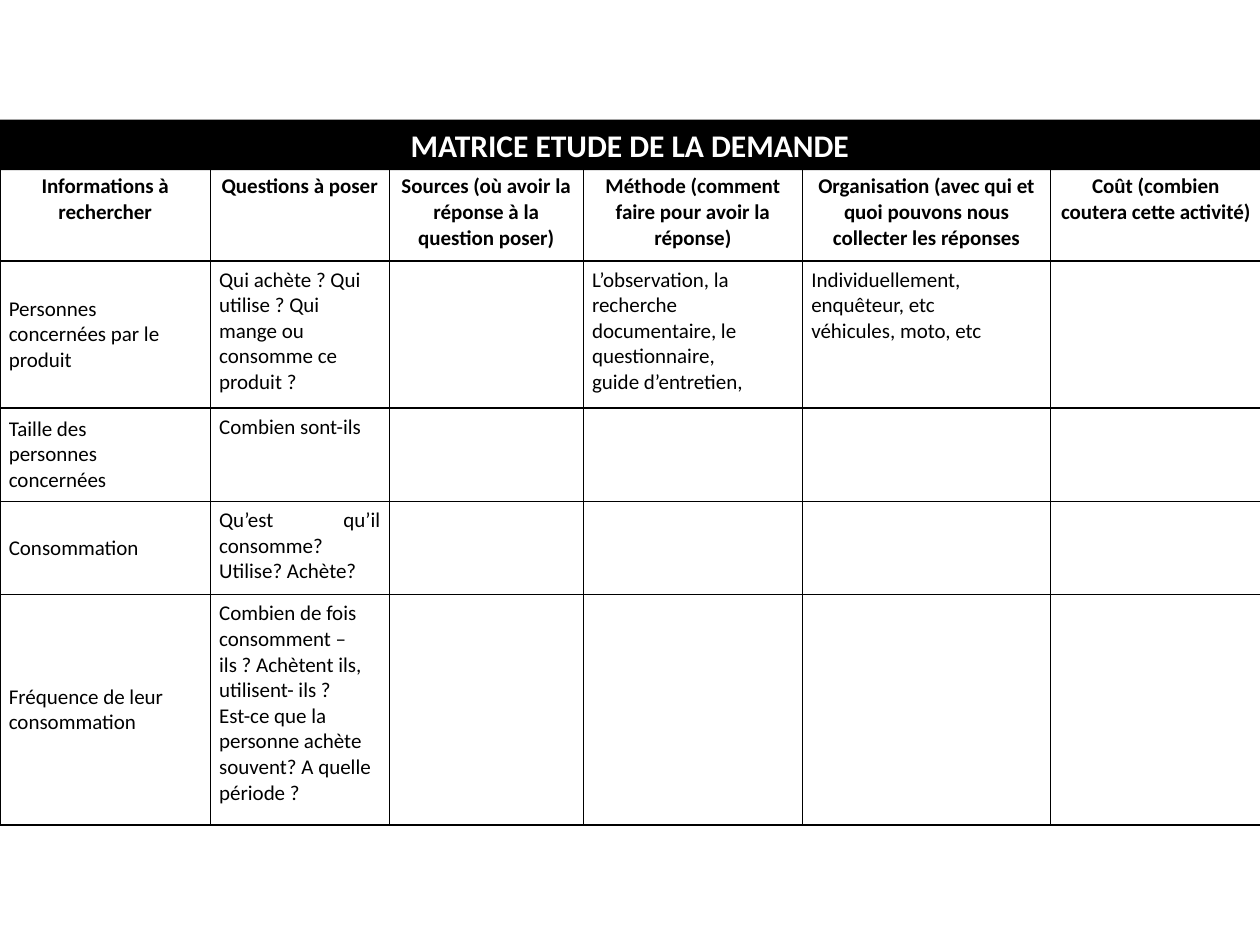
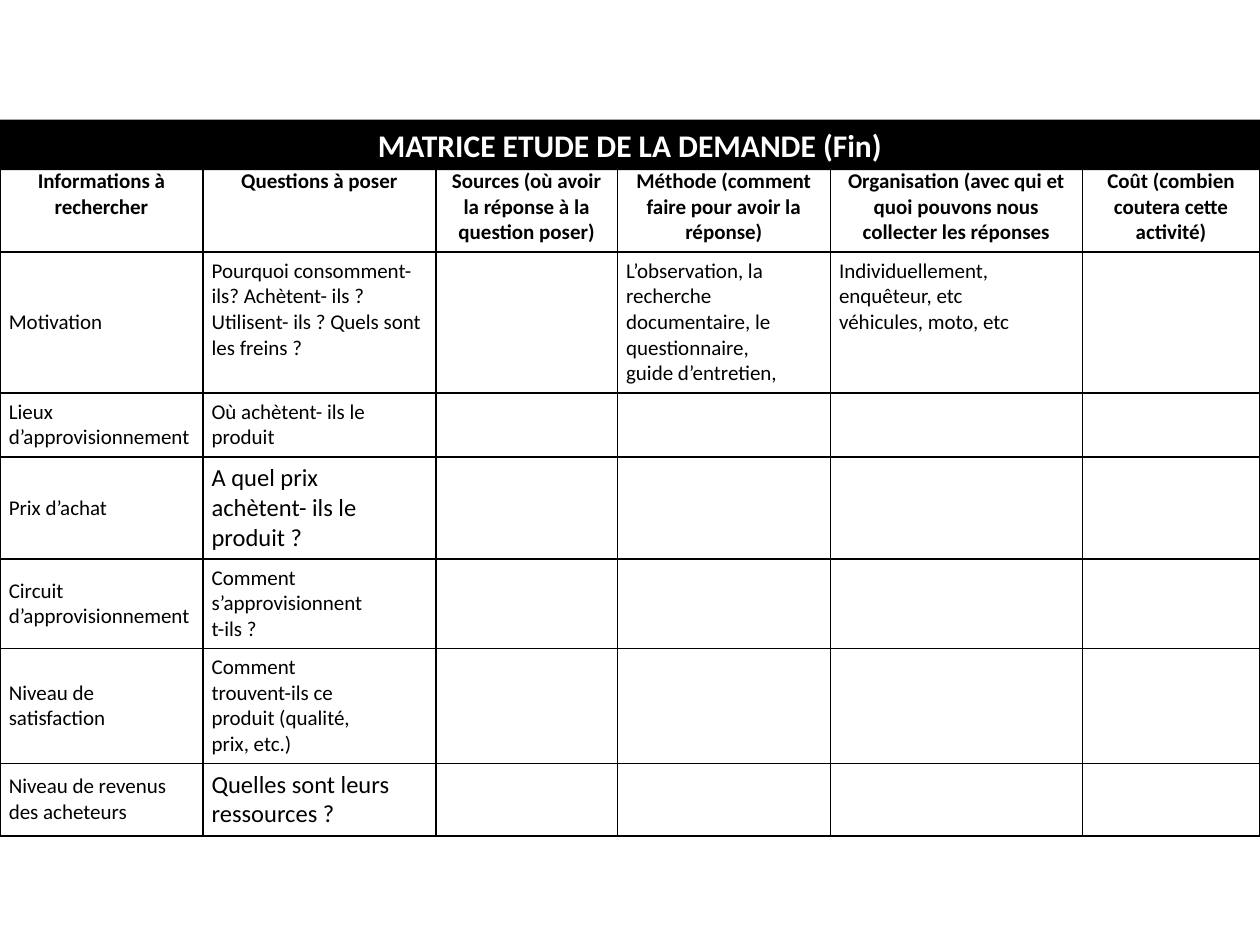
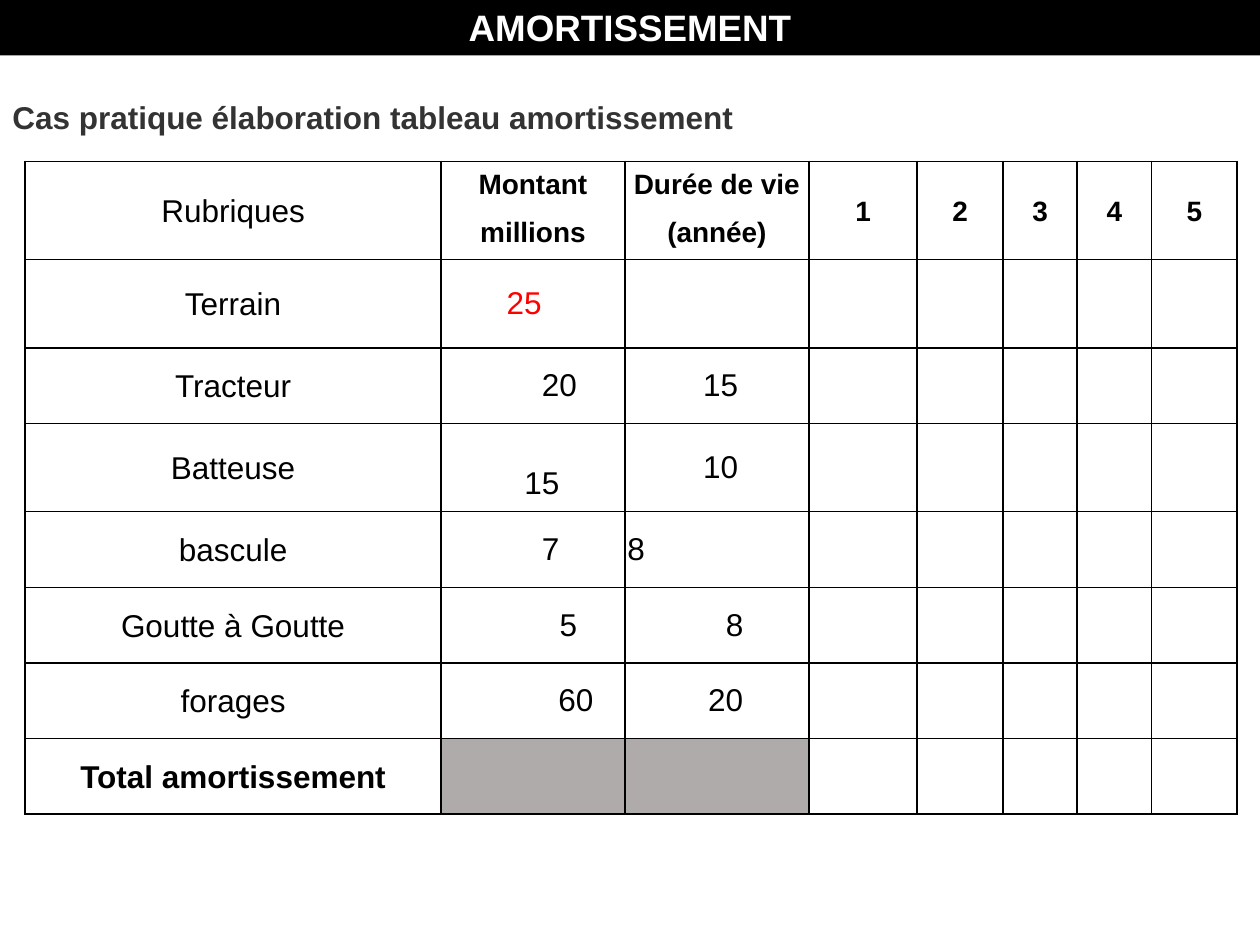
from dataclasses import dataclass

from lxml import etree
from pptx import Presentation
from pptx.dml.color import RGBColor
from pptx.enum import shapes, text
from pptx.oxml import ns
from pptx.util import Inches, Pt

LEFT, CENTER, JUSTIFY = text.PP_ALIGN.LEFT, text.PP_ALIGN.CENTER, text.PP_ALIGN.JUSTIFY
TOP, MIDDLE = text.MSO_ANCHOR.TOP, text.MSO_ANCHOR.MIDDLE


@dataclass(frozen=True)
class Theme:
    """Colours, fonts and type sizes shared by the slides."""
    black: str = "000000"
    white: str = "FFFFFF"
    heading: str = "333333"
    highlight: str = "FF0000"
    blocked: str = "AFABAB"
    matrix_font: str = "Calibri"
    schedule_font: str = "Arial"
    matrix_title: int = 18
    schedule_title: int = 21
    matrix_text: int = 12
    matrix_large: int = 14
    schedule_head: int = 16
    schedule_text: int = 18
    border: float = 0.96


THEME = Theme()


@dataclass(frozen=True)
class Question:
    """One kind of information to look for, with the question to ask."""
    topic: str
    wording: str
    height: float
    size: int = THEME.matrix_text
    align: int = LEFT


@dataclass(frozen=True)
class Figure:
    """A number in the schedule, with its shift from the cell's centre."""
    value: str
    right: float = 0
    down: float = 0
    color: str = THEME.black
    align: int = CENTER


MATRIX_HEADINGS = (
    "Informations à rechercher",
    "Questions à poser",
    "Sources (où avoir la réponse à la question poser)",
    "Méthode (comment faire pour avoir la réponse)",
    "Organisation (avec qui et quoi pouvons nous collecter les réponses",
    "Coût (combien coutera cette activité)",
)
METHODS = "L’observation, la\nrecherche\ndocumentaire, le\nquestionnaire,\nguide d’entretien,"
MEANS = "Individuellement, enquêteur, etc\nvéhicules, moto, etc"

DEMAND = (
    Question("Personnes\nconcernées par le\nproduit",
             "Qui achète ? Qui\nutilise ? Qui\nmange ou\nconsomme ce\nproduit ?", 1.17),
    Question("Taille des\npersonnes\nconcernées", "Combien sont-ils", 0.74),
    Question("Consommation", "Qu’est qu’il consomme? Utilise? Achète?", 0.74, align=JUSTIFY),
    Question("Fréquence de leur\nconsommation",
             "Combien de fois\nconsomment –\nils ? Achètent ils,\nutilisent- ils ?\n"
             "Est-ce que la\npersonne achète\nsouvent? A quelle\npériode ?", 1.83),
)
DEMAND_END = (
    Question("Motivation",
             "Pourquoi consomment-ils? Achètent- ils ?\n"
             "Utilisent- ils ? Quels sont les freins ?", 1.12),
    Question("Lieux d’approvisionnement", "Où achètent- ils le produit", 0.49),
    Question("Prix d’achat", "A quel prix\nachètent- ils le\nproduit ?", 0.78,
             THEME.matrix_large),
    Question("Circuit d’approvisionnement", "Comment\ns’approvisionnent\nt-ils ?", 0.7),
    Question("Niveau de satisfaction",
             "Comment\ntrouvent-ils ce\nproduit (qualité,\nprix, etc.)", 0.91),
    Question("Niveau de revenus des acheteurs", "Quelles sont leurs ressources ?", 0.55,
             THEME.matrix_large),
)
ASSETS = (
    ("Terrain", 0.7, (Figure("25", -0.07, color=THEME.highlight),)),
    ("Tracteur", 0.6, (Figure("20", 0.21), Figure("15", 0.03))),
    ("Batteuse", 0.7, (Figure("15", 0.07, 0.13), Figure("10", 0.03))),
    ("bascule", 0.6, (Figure("7", 0.14), Figure("8", 0.01, align=LEFT))),
    ("Goutte à Goutte", 0.6, (Figure("5", 0.28), Figure("8", 0.14))),
    ("forages", 0.6, (Figure("60", 0.34), Figure("20", 0.07))),
)


def write(frame, words, font, size, color=THEME.black, bold=False, align=LEFT,
          spacing=None, after=None):
    """Fill a text frame and format all its paragraphs alike."""
    frame.text = words
    for paragraph in frame.paragraphs:
        paragraph.alignment = align
        paragraph.line_spacing = spacing
        if after is not None:
            paragraph.space_after = Pt(after)
        for run in paragraph.runs:
            run.font.name, run.font.size, run.font.bold = font, Pt(size), bold
            run.font.color.rgb = RGBColor.from_string(color)


def add_band(slide, top, height, title, font, size):
    """Draw the full-width black title band."""
    band = slide.shapes.add_shape(shapes.MSO_SHAPE.RECTANGLE, 0, Inches(top),
                                  Inches(10), Inches(height))
    band.shadow.inherit = False
    band.fill.solid()
    band.fill.fore_color.rgb = RGBColor.from_string(THEME.black)
    band.line.fill.background()
    band.text_frame.word_wrap = True
    write(band.text_frame, title, font, size, THEME.white, True, CENTER)


def outline(cell):
    """Give a cell thin black borders on its four sides."""
    properties = cell._tc.get_or_add_tcPr()
    for side in ("lnL", "lnR", "lnT", "lnB"):
        line = etree.SubElement(properties, ns.qn(f"a:{side}"), w=str(Pt(THEME.border)))
        fill = etree.SubElement(line, ns.qn("a:solidFill"))
        etree.SubElement(fill, ns.qn("a:srgbClr"), val=THEME.black)


def add_grid(slide, left, top, widths, heights):
    """Add a bordered table without fills and return it."""
    grid = slide.shapes.add_table(len(heights), len(widths), Inches(left), Inches(top),
                                  Inches(sum(widths)), Inches(sum(heights))).table
    grid.first_row = grid.horz_banding = False
    for column, width in zip(grid.columns, widths):
        column.width = Inches(width)
    for row, height in zip(grid.rows, heights):
        row.height = Inches(height)
    for cell in grid.iter_cells():
        outline(cell)
        cell.fill.background()
        cell.margin_left = cell.margin_right = Inches(0.07)
    return grid


def add_matrix(slide, top, widths, heading_height, questions):
    """Draw the table of questions for the study of demand."""
    heights = [heading_height] + [question.height for question in questions]
    grid = add_grid(slide, 0, top, widths, heights)

    def fill(row, column, words, size=THEME.matrix_text, **style):
        write(grid.cell(row, column).text_frame, words, THEME.matrix_font, size, **style)

    for column, heading in enumerate(MATRIX_HEADINGS):
        fill(0, column, heading, bold=True, align=CENTER)
    for row, question in enumerate(questions, 1):
        fill(row, 0, question.topic)
        grid.cell(row, 0).vertical_anchor = MIDDLE
        fill(row, 1, question.wording, question.size, align=question.align)
    fill(1, 3, METHODS)
    fill(1, 4, MEANS)


def place_figure(cell, figure):
    """Write a number in a cell, moved from its centre by the margins."""
    factor = 1 if figure.align == LEFT else 2
    cell.margin_left = Inches(0.01 + factor * max(figure.right, 0))
    cell.margin_right = Inches(0.01 + factor * max(-figure.right, 0))
    cell.margin_top = Inches(0.05 + 2 * figure.down)
    cell.vertical_anchor = MIDDLE
    write(cell.text_frame, figure.value, THEME.schedule_font, THEME.schedule_text,
          figure.color, align=figure.align)


def add_schedule(slide, left, top):
    """Draw the depreciation table with its five yearly columns."""
    widths = (3.3, 1.46, 1.46, 0.86, 0.68, 0.59, 0.59, 0.68)
    heights = [0.78] + [height for _, height, _ in ASSETS] + [0.6]
    grid = add_grid(slide, left, top, widths, heights)
    total = len(heights) - 1

    def label(row, column, words, size=THEME.schedule_text, bold=False, anchor=MIDDLE):
        cell = grid.cell(row, column)
        cell.vertical_anchor = anchor
        write(cell.text_frame, words, THEME.schedule_font, size, bold=bold, align=CENTER,
              spacing=1.07, after=8)

    label(0, 0, "Rubriques")
    for column, heading in enumerate(("Montant\nmillions", "Durée de vie\n(année)"), 1):
        label(0, column, heading, THEME.schedule_head, True, TOP)
    for year in range(1, 6):
        label(0, year + 2, str(year), THEME.schedule_head, True)
    for row, (asset, _, figures) in enumerate(ASSETS, 1):
        label(row, 0, asset)
        for column, figure in enumerate(figures, 1):
            place_figure(grid.cell(row, column), figure)
    label(total, 0, "Total amortissement", bold=True)
    for column in (1, 2):
        blocked = grid.cell(total, column).fill
        blocked.solid()
        blocked.fore_color.rgb = RGBColor.from_string(THEME.blocked)


def matrix_slide(slide, title, top, widths, heading_height, questions):
    """Build a slide with a matrix under its title band."""
    add_matrix(slide, top, widths, heading_height, questions)
    add_band(slide, 0.95, 0.4, title, THEME.matrix_font, THEME.matrix_title)


def schedule_slide(slide):
    """Build the slide with the depreciation exercise."""
    exercise = slide.shapes.add_textbox(0, Inches(0.76), Inches(10), Inches(6.22)).text_frame
    exercise.word_wrap = True
    write(exercise, "Cas pratique élaboration tableau amortissement", THEME.schedule_font,
          THEME.schedule_text, THEME.heading, True, JUSTIFY, spacing=0.9)
    add_band(slide, -0.01, 0.45, "AMORTISSEMENT", THEME.schedule_font, THEME.schedule_title)
    add_schedule(slide, 0.2, 1.28)


def main():
    """Build the three slides and save them."""
    deck = Presentation()
    deck.slide_width, deck.slide_height = Inches(10), Inches(7.5)
    first, second, third = (deck.slides.add_slide(deck.slide_layouts[6]) for _ in range(3))
    matrix_slide(first, "MATRICE ETUDE DE LA DEMANDE", 1.33,
                 (1.67, 1.42, 1.54, 1.74, 1.97, 1.67), 0.74, DEMAND)
    matrix_slide(second, "MATRICE ETUDE DE LA DEMANDE (Fin)", 1.29,
                 (1.61, 1.85, 1.44, 1.69, 2, 1.41), 0.7, DEMAND_END)
    schedule_slide(third)
    deck.save("out.pptx")


if __name__ == "__main__":
    main()
